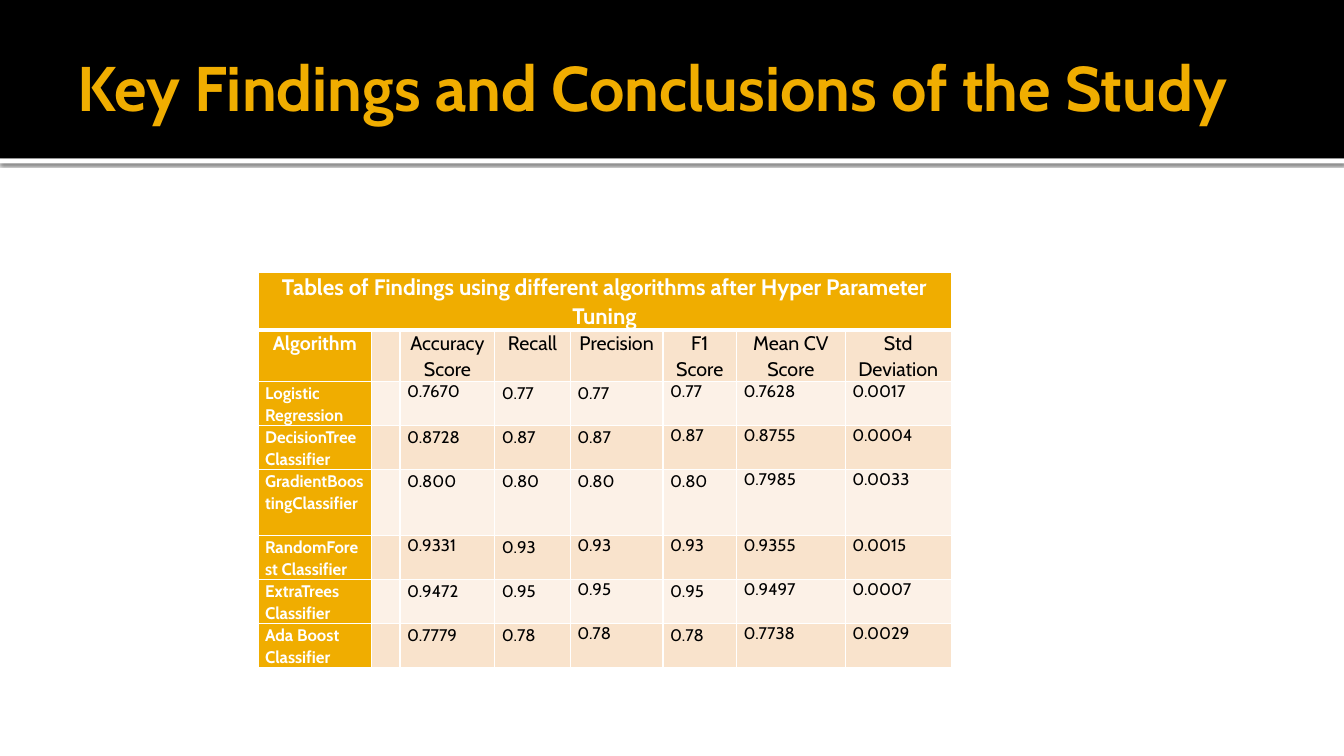
from lxml import etree
from pptx import Presentation
from pptx.dml.color import RGBColor
from pptx.enum import shapes, text
from pptx.oxml import ns
from pptx.util import Cm, Pt

GOLD = RGBColor(0xF0, 0xAD, 0x00)
PEACH = RGBColor(0xF9, 0xE3, 0xCC)
CREAM = RGBColor(0xFC, 0xF1, 0xE7)
WHITE = RGBColor(0xFF, 0xFF, 0xFF)
BLACK = RGBColor(0x00, 0x00, 0x00)
FONT = "Cabin"
LOOSE = 1.07

PAGE_WIDTH, PAGE_HEIGHT = Cm(33.87), Cm(19.05)
BAND_HEIGHT = Cm(3.99)
COLUMN_WIDTHS = [2.87, 0.71, 2.39, 1.9, 2.34, 1.85, 2.74, 2.67]
ROW_HEIGHTS = [1.46, 1.29, 1.11, 1.11, 1.66, 1.11, 1.11, 1.11]

CAPTION = "Tables of Findings using different algorithms after Hyper Parameter Tuning"
HEADINGS = ["Algorithm", "", "Accuracy Score", "Recall", "Precision",
            "F1 Score", "Mean CV Score", "Std Deviation"]
# Algorithm, its scores, and the columns set with loose line spacing
FINDINGS = [
    ("Logistic Regression", "0.7670 0.77 0.77 0.77 0.7628 0.0017", {3, 4}),
    ("DecisionTreeClassifier", "0.8728 0.87 0.87 0.87 0.8755 0.0004", {2, 3, 4}),
    ("GradientBoostingClassifier", "0.800 0.80 0.80 0.80 0.7985 0.0033", {2, 3, 4, 5}),
    ("RandomForest Classifier", "0.9331 0.93 0.93 0.93 0.9355 0.0015", {3}),
    ("ExtraTrees Classifier", "0.9472 0.95 0.95 0.95 0.9497 0.0007", {2, 3, 5}),
    ("Ada Boost Classifier", "0.7779 0.78 0.78 0.78 0.7738 0.0029", {2, 3, 5}),
]


def add_band(page, top, height, color):
    """Add a full-width bar behind the title."""
    band = page.shapes.add_shape(
        shapes.MSO_SHAPE.RECTANGLE, 0, top, PAGE_WIDTH, height)
    band.shadow.inherit = False
    band.fill.solid()
    band.fill.fore_color.rgb = color
    band.line.fill.background()
    page.shapes.title.element.addprevious(band.element)
    return band


def drop_shadow(band):
    effects = band.element.spPr.find(ns.qn("a:effectLst"))
    shadow = etree.SubElement(
        effects, ns.qn("a:outerShdw"), blurRad=str(Pt(2.5)), dist=str(Pt(0.8)),
        dir="5400000", algn="tl", rotWithShape="0")
    color = etree.SubElement(shadow, ns.qn("a:srgbClr"), val=str(BLACK))
    etree.SubElement(color, ns.qn("a:alpha"), val="60000")


def format_para(para, size, color, bold):
    para.font.name = FONT
    para.font.size = Pt(size)
    para.font.bold = bold
    para.font.color.rgb = color


def set_title(page, words):
    title = page.shapes.title
    title.left, title.top = Cm(1.7), Cm(0.43)
    title.width, title.height = Cm(30.48), Cm(3.48)
    frame = title.text_frame
    frame.text = words
    frame.word_wrap = True
    frame.auto_size = text.MSO_AUTO_SIZE.NONE
    frame.vertical_anchor = text.MSO_ANCHOR.MIDDLE
    frame.margin_left = Cm(0.25)
    frame.margin_right = frame.margin_top = frame.margin_bottom = Cm(0.13)
    frame.paragraphs[0].alignment = text.PP_ALIGN.LEFT
    format_para(frame.paragraphs[0], 45, GOLD, True)


def set_borders(cell, bottom):
    """Give a cell white borders, 1 pt wide except for the bottom one."""
    properties = cell._tc.get_or_add_tcPr()
    for place, (side, width) in enumerate(
            [("lnL", 1), ("lnR", 1), ("lnT", 1), ("lnB", bottom)]):
        line = etree.Element(ns.qn(f"a:{side}"), w=str(Pt(width)))
        fill = etree.SubElement(line, ns.qn("a:solidFill"))
        etree.SubElement(fill, ns.qn("a:srgbClr"), val=str(WHITE))
        properties.insert(place, line)


def fill_cell(cell, words, fill, size, strong=False, centered=False,
              spacing=LOOSE, bottom=1):
    cell.fill.solid()
    cell.fill.fore_color.rgb = fill
    cell.margin_left = cell.margin_right = Cm(0.18)
    cell.margin_top = cell.margin_bottom = 0
    cell.text = words
    para = cell.text_frame.paragraphs[0]
    para.alignment = text.PP_ALIGN.CENTER if centered else text.PP_ALIGN.LEFT
    para.line_spacing = spacing
    format_para(para, size, WHITE if strong else BLACK, strong)
    set_borders(cell, bottom)


def add_findings(page):
    frame = page.shapes.add_table(
        len(ROW_HEIGHTS), len(COLUMN_WIDTHS), Cm(6.5), Cm(6.86),
        Cm(sum(COLUMN_WIDTHS)), Cm(sum(ROW_HEIGHTS)))
    table = frame.table
    table.first_row = table.horz_banding = False
    for column, width in zip(table.columns, COLUMN_WIDTHS):
        column.width = Cm(width)
    for row, height in zip(table.rows, ROW_HEIGHTS):
        row.height = Cm(height)

    last = len(COLUMN_WIDTHS) - 1
    table.cell(0, 0).merge(table.cell(0, last))
    for column in range(last + 1):
        fill_cell(table.cell(0, column), "" if column else CAPTION, GOLD, 16,
                  strong=True, centered=True, bottom=3)
    for column, heading in enumerate(HEADINGS):
        first = column == 0
        fill_cell(table.cell(1, column), heading, GOLD if first else PEACH, 14,
                  strong=first, centered=True)
    for row, (algorithm, scores, loose) in enumerate(FINDINGS, start=2):
        band = PEACH if row % 2 else CREAM
        for column, words in enumerate([algorithm, "", *scores.split()]):
            first = column == 0
            fill_cell(table.cell(row, column), words, GOLD if first else band, 12,
                      strong=first,
                      spacing=LOOSE if first or column in loose else 1.0)


def main():
    deck = Presentation()
    deck.slide_width, deck.slide_height = PAGE_WIDTH, PAGE_HEIGHT
    page = deck.slides.add_slide(deck.slide_layouts[5])
    drop_shadow(add_band(page, BAND_HEIGHT, Cm(0.13), WHITE))
    add_band(page, 0, BAND_HEIGHT, BLACK)
    set_title(page, "Key Findings and Conclusions of the Study")
    add_findings(page)
    deck.save("out.pptx")


if __name__ == "__main__":
    main()
